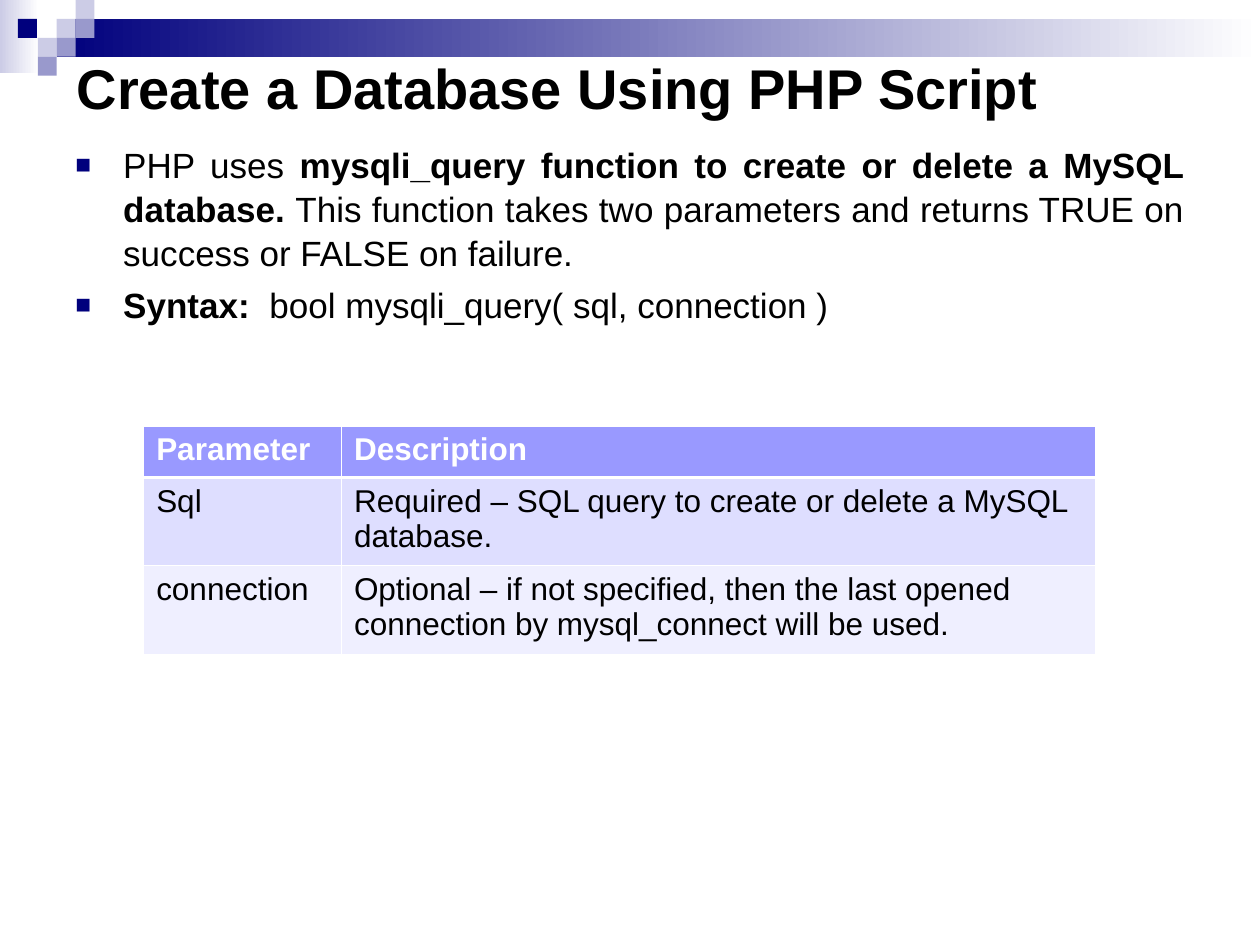
from lxml import etree
from pptx import Presentation
from pptx.dml.color import RGBColor
from pptx.enum.shapes import MSO_SHAPE
from pptx.enum.text import MSO_ANCHOR, PP_ALIGN
from pptx.oxml import parse_xml
from pptx.oxml.ns import nsdecls, qn
from pptx.util import Inches, Pt

COLORS = {
    "navy": "00007D", "lavender": "CCCCE6", "periwinkle": "9999CC",
    "white": "FFFFFF", "black": "000000",
    "header": "9999FF", "band1": "DEDEFF", "band2": "EFEFFF",
}


def rgb(name):
    return RGBColor.from_string(COLORS[name])


class SlideBuilder:
    font = "Arial"

    def __init__(self, slide):
        self.slide = slide

    def rect(self, left, top, width, height, color, fade_to=None):
        sp = self.slide.shapes.add_shape(
            MSO_SHAPE.RECTANGLE, Inches(left), Inches(top), Inches(width), Inches(height))
        sp.shadow.inherit = False
        sp.line.fill.background()
        if fade_to:
            sp.fill.gradient()
            sp.fill.gradient_angle = 0
            for stop, name in zip(sp.fill.gradient_stops, (color, fade_to)):
                stop.color.rgb = rgb(name)
        else:
            sp.fill.solid()
            sp.fill.fore_color.rgb = rgb(color)

    def run(self, p, text, size, bold=False, color="black"):
        r = p.add_run()
        r.text = text
        r.font.name = self.font
        r.font.size = Pt(size)
        r.font.bold = bold
        r.font.color.rgb = rgb(color)

    def text_frame(self, left, top, width, height, anchor=MSO_ANCHOR.TOP):
        box = self.slide.shapes.add_textbox(
            Inches(left), Inches(top), Inches(width), Inches(height))
        tf = box.text_frame
        tf.word_wrap = True
        tf.vertical_anchor = anchor
        return tf

    def title(self, text, *place):
        tf = self.text_frame(*place, anchor=MSO_ANCHOR.MIDDLE)
        self.run(tf.paragraphs[0], text, 32, bold=True)

    def bullets(self, items, *place):
        tf = self.text_frame(*place)
        for i, runs in enumerate(items):
            p = tf.add_paragraph() if i else tf.paragraphs[0]
            self.square_bullet(p)
            p.alignment = PP_ALIGN.JUSTIFY
            p.line_spacing = 1.04
            if i:
                p.space_before = Pt(5)
            for text, bold in runs:
                self.run(p, text, 20, bold)

    def square_bullet(self, p):
        pPr = p._p.get_or_add_pPr()
        pPr.set("marL", str(Inches(0.38)))
        pPr.set("indent", str(-Inches(0.38)))
        color = etree.SubElement(pPr, qn("a:buClr"))
        etree.SubElement(color, qn("a:srgbClr"), val=COLORS["navy"])
        etree.SubElement(pPr, qn("a:buSzPct"), val="75000")
        etree.SubElement(pPr, qn("a:buFont"), typeface=self.font)
        etree.SubElement(pPr, qn("a:buChar"), char="■")

    def table(self, rows, left, top, widths, heights, fills):
        table = self.slide.shapes.add_table(
            len(rows), len(widths), Inches(left), Inches(top),
            Inches(sum(widths)), Inches(sum(heights))).table
        for column, width in zip(table.columns, widths):
            column.width = Inches(width)
        for i, row in enumerate(rows):
            table.rows[i].height = Inches(heights[i])
            for j, text in enumerate(row):
                cell = table.cell(i, j)
                cell.fill.solid()
                cell.fill.fore_color.rgb = rgb(fills[i])
                head = i == 0
                self.run(cell.text_frame.paragraphs[0], text, 18, head,
                         "white" if head else "black")
                # The rule under the header is thicker
                self.borders(cell, L=0.45, R=0.45,
                             T=1.47 if i == 1 else 0.45, B=1.47 if head else 0.45)

    def borders(self, cell, **sides):
        tcPr = cell._tc.get_or_add_tcPr()
        for k, (side, width) in enumerate(sides.items()):
            tcPr.insert(k, parse_xml(
                f'<a:ln{side} {nsdecls("a")} w="{Pt(width)}"><a:solidFill>'
                f'<a:srgbClr val="{COLORS["white"]}"/></a:solidFill></a:ln{side}>'))


def main():
    prs = Presentation()
    prs.slide_width, prs.slide_height = Inches(10), Inches(7.5)
    s = SlideBuilder(prs.slides.add_slide(prs.slide_layouts[6]))

    # Header bands
    s.rect(0, 0, 0.31, 0.58, "lavender", fade_to="white")
    s.rect(0.45, 0.15, 9.55, 0.3, "navy", fade_to="white")

    # Mosaic squares: column, row on a 0.15 inch grid
    side = 0.15
    for col, row, color in [
        (3, 1, "lavender"), (4, 0, "lavender"), (4, 1, "periwinkle"),
        (2, 2, "lavender"), (0.95, 1, "navy"), (3, 2, "periwinkle"),
        (2, 3, "periwinkle"),
    ]:
        s.rect(col * side, row * side, side, side, color)

    # Title and body
    s.title("Create a Database Using PHP Script", 0.51, 0.3, 9, 0.79)
    s.bullets([
        [("PHP uses ", False),
         ("mysqli_query function to create or delete a MySQL database. ", True),
         ("This function takes two parameters and returns TRUE on success "
          "or FALSE on failure.", False)],
        [("Syntax:  ", True), ("bool mysqli_query( sql, connection )", False)],
    ], 0.5, 1.08, 9, 6)

    # Parameter table
    s.table([
        ("Parameter", "Description"),
        ("Sql", "Required – SQL query to create or delete a MySQL database."),
        ("connection", "Optional – if not specified, then the last opened "
                       "connection by mysql_connect will be used."),
    ], 1.14, 3.38, widths=(1.57, 5.98), heights=(0.41, 0.7, 0.7),
        fills=("header", "band1", "band2"))

    prs.save("out.pptx")


if __name__ == "__main__":
    main()
